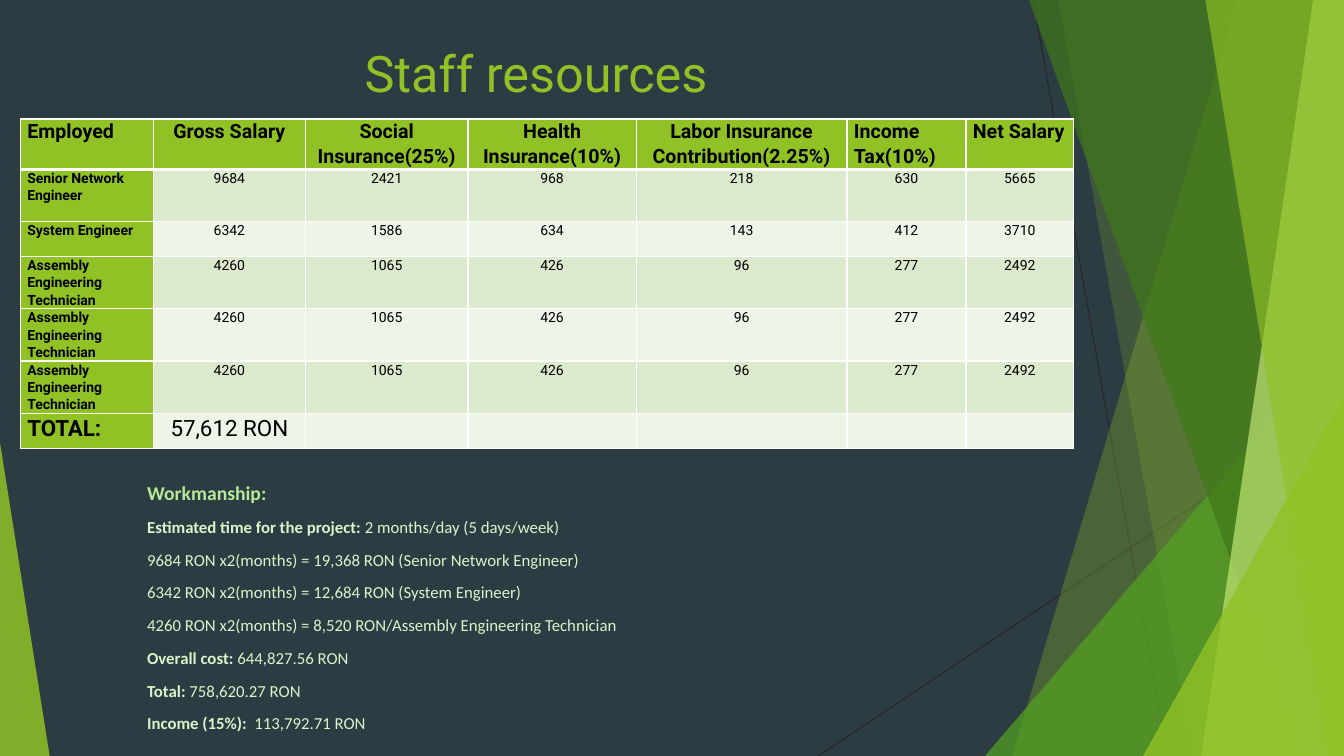
"""Build the staff resources slide with its salary table and workmanship costs."""
from lxml.etree import SubElement
from pptx import Presentation
from pptx.dml.color import RGBColor
from pptx.enum.shapes import MSO_CONNECTOR, MSO_SHAPE
from pptx.enum.text import MSO_ANCHOR, MSO_AUTO_SIZE, PP_ALIGN
from pptx.oxml import parse_xml
from pptx.oxml.ns import nsdecls, qn
from pptx.util import Pt

WIDTH, HEIGHT = 960, 540
GREEN = "90C226"


def color(hex_string):
    return RGBColor.from_string(hex_string)


def style_run(run, font_name, size, hex_string, bold=False):
    run.font.name = font_name
    run.font.size = Pt(size)
    run.font.bold = bold
    run.font.color.rgb = color(hex_string)


presentation = Presentation()
presentation.slide_width = Pt(WIDTH)
presentation.slide_height = Pt(HEIGHT)
slide = presentation.slides.add_slide(presentation.slide_layouts[5])
slide.background.fill.solid()
slide.background.fill.fore_color.rgb = color("2C3C43")

for start_x, start_y, end_x, end_y in [(738, 0, 834, HEIGHT), (WIDTH, 290, 584.5, HEIGHT)]:
    line = slide.shapes.add_connector(
        MSO_CONNECTOR.STRAIGHT, Pt(start_x), Pt(start_y), Pt(end_x), Pt(end_y)
    )
    line.line.color.rgb = color("262626")
    line.line.width = Pt(0.75)
    SubElement(line._element.spPr, qn("a:effectLst"))

facets = [
    ("band", (884, 723), GREEN, 30),
    ("band", (756, 852), GREEN, 20),
    ("triangle", (703.5, 240, 256.5, 300, 1), "54A021", 72),
    ("band", (735, 929.5), "3F7819", 70),
    ("band", (938, 858), "C0E474", 70),
    ("band", (861, 949), GREEN, 65),
    ("triangle", (816.5, 283, 143.5, 257, 1), GREEN, 80),
    ("triangle", (0, 316, 35.5, 224, 0), GREEN, 85),
]
for kind, geometry, fill_color, opacity in facets:
    if kind == "band":
        top_x, bottom_x = geometry
        outline = slide.shapes.build_freeform(Pt(top_x), 0)
        corners = [(WIDTH, 0), (WIDTH, HEIGHT), (bottom_x, HEIGHT)]
        outline.add_line_segments([(Pt(x), Pt(y)) for x, y in corners], close=True)
        shape = outline.convert_to_shape()
    else:
        left, top, width, height, apex = geometry
        shape = slide.shapes.add_shape(
            MSO_SHAPE.ISOSCELES_TRIANGLE, Pt(left), Pt(top), Pt(width), Pt(height)
        )
        shape.adjustments[0] = apex
    shape.shadow.inherit = False
    shape.line.fill.background()
    shape.fill.solid()
    shape.fill.fore_color.rgb = color(fill_color)
    color_element = shape._element.spPr.find(qn("a:solidFill"))[0]
    SubElement(color_element, qn("a:alpha"), val=str(opacity * 1000))

title = slide.shapes.title
title.left, title.top, title.width, title.height = Pt(44.5), Pt(23), Pt(677), Pt(103.5)
title.text_frame.text = "Staff resources"
title.text_frame.vertical_anchor = MSO_ANCHOR.TOP
title.text_frame.margin_top = Pt(7)
title.text_frame.paragraphs[0].alignment = PP_ALIGN.CENTER
style_run(title.text_frame.paragraphs[0].runs[0], "Roboto", 36, GREEN)
slide.shapes._spTree.append(title._element)

technician = ["Assembly Engineering Technician", "4260", "1065", "426", "96", "277", "2492"]
salaries = [
    ["Employed", "Gross Salary", "Social Insurance(25%)", "Health Insurance(10%)",
     "Labor Insurance Contribution(2.25%)", "Income Tax(10%)", "Net Salary"],
    ["Senior Network Engineer", "9684", "2421", "968", "218", "630", "5665"],
    ["System Engineer", "6342", "1586", "634", "143", "412", "3710"],
    technician,
    technician,
    technician,
    ["TOTAL:", "57,612 RON", "", "", "", "", ""],
]
column_widths = [95, 108.75, 116, 120.25, 150.5, 85, 77]
row_heights = [36, 37.5, 24.5, 37.5, 37.5, 37.5, 25]
last_row = len(salaries) - 1
table = slide.shapes.add_table(
    len(row_heights), len(column_widths), Pt(14.5), Pt(85),
    Pt(sum(column_widths)), Pt(sum(row_heights)),
).table
for column, width in zip(table.columns, column_widths):
    column.width = Pt(width)
for row, height in zip(table.rows, row_heights):
    row.height = Pt(height)

for row_index, values in enumerate(salaries):
    text_size = {0: 14, last_row: 16}.get(row_index, 10)
    for column_index, value in enumerate(values):
        is_heading = row_index == 0 or column_index == 0
        is_left = column_index == 0 or (row_index == 0 and column_index >= 5)
        cell = table.cell(row_index, column_index)
        cell.margin_left = cell.margin_right = Pt(5)
        cell.margin_top = cell.margin_bottom = 0
        cell.text_frame.text = value
        paragraph = cell.text_frame.paragraphs[0]
        paragraph.alignment = PP_ALIGN.LEFT if is_left else PP_ALIGN.CENTER
        paragraph.line_spacing = 1.07
        for run in paragraph.runs:
            style_run(run, "Roboto", text_size, "000000", is_heading)
        for side in ["L", "R", "T", "B"]:
            under_header = (row_index, side) in [(0, "B"), (1, "T")]
            border_width = Pt(3 if under_header else 1)
            cell._tc.get_or_add_tcPr().append(parse_xml(
                f'<a:ln{side} {nsdecls("a")} w="{border_width}"><a:solidFill>'
                f'<a:srgbClr val="FFFFFF"/></a:solidFill></a:ln{side}>'
            ))
        band_color = "DBE9CD" if row_index % 2 else "EEF4E8"
        cell.fill.solid()
        cell.fill.fore_color.rgb = color(GREEN if is_heading else band_color)

workmanship = [
    ("Workmanship:", ""),
    ("Estimated time for the project: ", "2 months/day (5 days/week)"),
    ("", "9684 RON x2(months) = 19,368 RON (Senior Network Engineer)"),
    ("", "6342 RON x2(months) = 12,684 RON (System Engineer)"),
    ("", "4260 RON x2(months) = 8,520 RON/Assembly Engineering Technician"),
    ("Overall cost: ", "644,827.56 RON"),
    ("Total:", " 758,620.27 RON"),
    ("Income (15%): ", " 113,792.71 RON"),
]
text_frame = slide.shapes.add_textbox(Pt(98), Pt(338.5), Pt(458.5), Pt(191)).text_frame
text_frame.word_wrap = True
text_frame.auto_size = MSO_AUTO_SIZE.SHAPE_TO_FIT_TEXT
for index, (label, detail) in enumerate(workmanship):
    paragraph = text_frame.add_paragraph() if index else text_frame.paragraphs[0]
    paragraph.line_spacing = 1.07
    paragraph.space_after = Pt(8)
    text_size, text_color = (12, "DBF4CA") if index else (14, "B7E996")
    for text, bold in [(label, True), (detail, False)]:
        if text:
            run = paragraph.add_run()
            run.text = text
            style_run(run, "Calibri", text_size, text_color, bold)

presentation.save("out.pptx")
